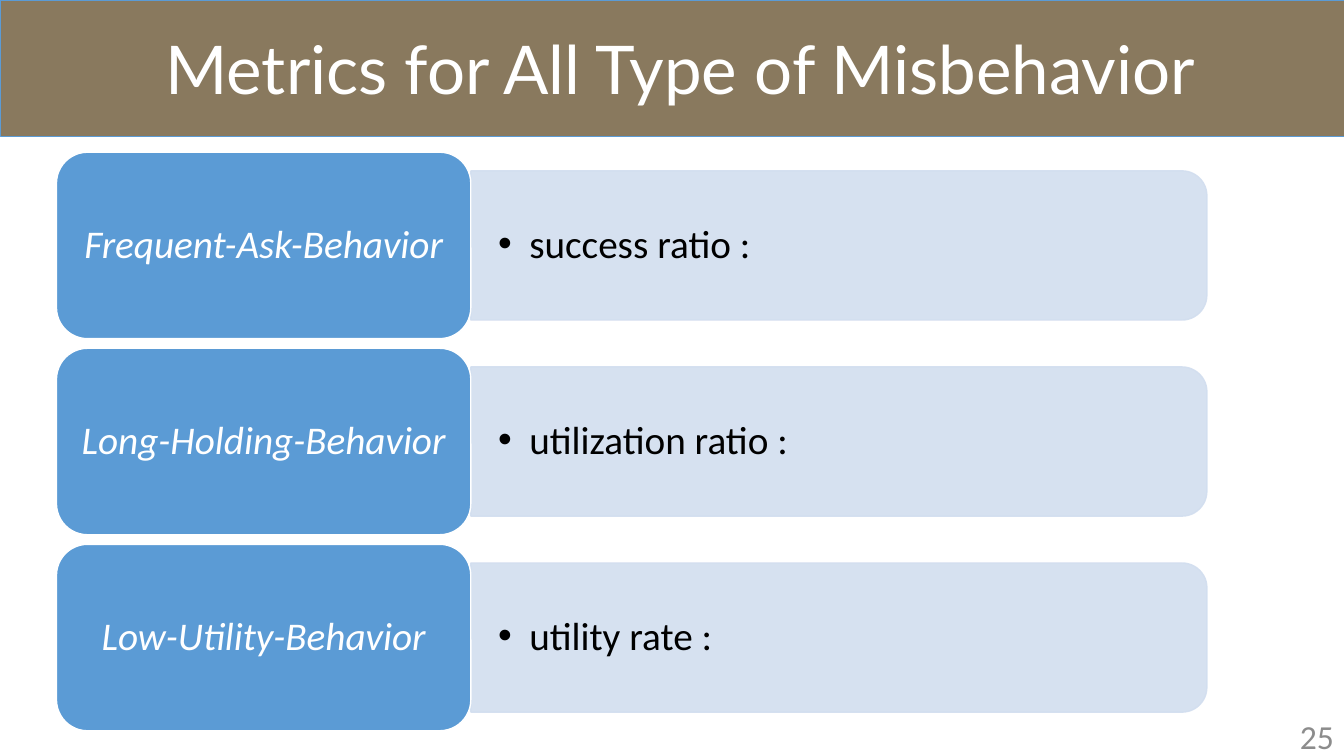
from lxml.etree import SubElement
from pptx import Presentation
from pptx.dml.color import RGBColor
from pptx.enum.shapes import MSO_SHAPE
from pptx.enum.text import MSO_ANCHOR, MSO_AUTO_SIZE, PP_ALIGN
from pptx.oxml.ns import qn
from pptx.util import Inches, Pt

SLIDE_W, SLIDE_H = 13.33, 7.5
HEADER_H = 0.18 * SLIDE_H

# Grid: one row per behavior, a card column and a metric column
ROW_TOP, ROW_PITCH = 1.51, 1.945
CARD_X, CARD_W, CARD_H = 0.56, 4.11, 1.85
BAND_X, BAND_W, BAND_H = CARD_X + CARD_W, 7.3, 0.8 * CARD_H

BROWN, BLUE, PALE = "89795E", "5B9BD5", "D2DEEF"
WHITE, BLACK, GRAY = "FFFFFF", "000000", "8C8C8C"

METRICS = [
    ("Frequent-Ask-Behavior", "success ratio :"),
    ("Long-Holding-Behavior", "utilization ratio :"),
    ("Low-Utility-Behavior", "utility rate :"),
]


def place(sp, x, y, w, h):
    sp.left, sp.top, sp.width, sp.height = (Inches(v) for v in (x, y, w, h))


def paint(color_format, color, alpha=None):
    color_format.rgb = RGBColor.from_string(color)
    return alpha


def style(sp, fill, line, line_width, opacity=None):
    """Give a shape its fill and outline, with opacity in percent."""
    for fmt, color in ((sp.fill, fill), (sp.line.fill, line)):
        fmt.solid()
        paint(fmt.fore_color, color)
    sp.line.width = Pt(line_width)
    if opacity is not None:
        for clr in sp._element.spPr.iter(qn("a:srgbClr")):
            SubElement(clr, qn("a:alpha")).set("val", str(opacity * 1000))


def write(sp, text, size=28, font="Calibri", color=BLACK, italic=False,
          align=PP_ALIGN.LEFT, spacing=1.0, insets=(0.1, 0.05, 0.1, 0.05),
          bullet_indent=None):
    tf = sp.text_frame
    tf.word_wrap = True
    tf.auto_size = MSO_AUTO_SIZE.NONE
    tf.vertical_anchor = MSO_ANCHOR.MIDDLE
    (tf.margin_left, tf.margin_top,
     tf.margin_right, tf.margin_bottom) = (Inches(v) for v in insets)
    p = tf.paragraphs[0]
    p.alignment, p.line_spacing = align, spacing
    if bullet_indent:
        pPr = p._p.get_or_add_pPr()
        pPr.set("marL", str(Inches(bullet_indent)))
        pPr.set("indent", str(-Inches(bullet_indent)))
        SubElement(pPr, qn("a:buFont")).set("typeface", "Arial")
        SubElement(pPr, qn("a:buChar")).set("char", "•")
    r = p.add_run()
    r.text = text
    r.font.size, r.font.name, r.font.italic = Pt(size), font, italic
    paint(r.font.color, color)


def add_shape(slide, kind, x, y, w, h):
    sp = slide.shapes.add_shape(kind, 0, 0, 0, 0)
    place(sp, x, y, w, h)
    sp.shadow.inherit = False
    return sp


def add_text(slide, text, x, y, w, h, **fmt):
    sp = slide.shapes.add_textbox(0, 0, 0, 0)
    place(sp, x, y, w, h)
    write(sp, text, **fmt)


def add_header(slide, text):
    sp = slide.shapes.title
    place(sp, 0, 0, SLIDE_W, HEADER_H)
    style(sp, BROWN, BLUE, 0.5)
    write(sp, text, size=48, font="Lato", color=WHITE, align=PP_ALIGN.CENTER,
          insets=(0.27, 0.05, 0.1, 0.05))


def add_metric_row(slide, row, behavior, metric):
    y = ROW_TOP + row * ROW_PITCH
    middle = y + CARD_H / 2

    # Band: top-rounded shape turned so its rounded end faces right
    band = add_shape(slide, MSO_SHAPE.ROUND_2_SAME_RECTANGLE,
                     BAND_X + (BAND_W - BAND_H) / 2, middle - BAND_W / 2,
                     BAND_H, BAND_W)
    band.rotation = 90
    style(band, PALE, PALE, 1, opacity=90)
    add_text(slide, metric, BAND_X, middle - BAND_H / 2, BAND_W, BAND_H,
             spacing=0.9, insets=(0.27, 0.14, 0.27, 0.14), bullet_indent=0.31)

    # Card naming the behavior
    card = add_shape(slide, MSO_SHAPE.ROUNDED_RECTANGLE,
                     CARD_X, y, CARD_W, CARD_H)
    style(card, BLUE, WHITE, 1)
    write(card, behavior, color=WHITE, italic=True, align=PP_ALIGN.CENTER,
          spacing=0.9, insets=(0.12, 0.06, 0.12, 0.06))


def main():
    prs = Presentation()
    prs.slide_width, prs.slide_height = Inches(SLIDE_W), Inches(SLIDE_H)
    slide = prs.slides.add_slide(prs.slide_layouts.get_by_name("Title Only"))

    add_header(slide, "Metrics for All Type of Misbehavior")
    for row, (behavior, metric) in enumerate(METRICS):
        add_metric_row(slide, row, behavior, metric)

    # Slide number
    add_text(slide, "25", SLIDE_W - 3, SLIDE_H - 0.4, 3, 0.4,
             size=24, color=GRAY, align=PP_ALIGN.RIGHT)
    prs.save("out.pptx")


if __name__ == "__main__":
    main()
